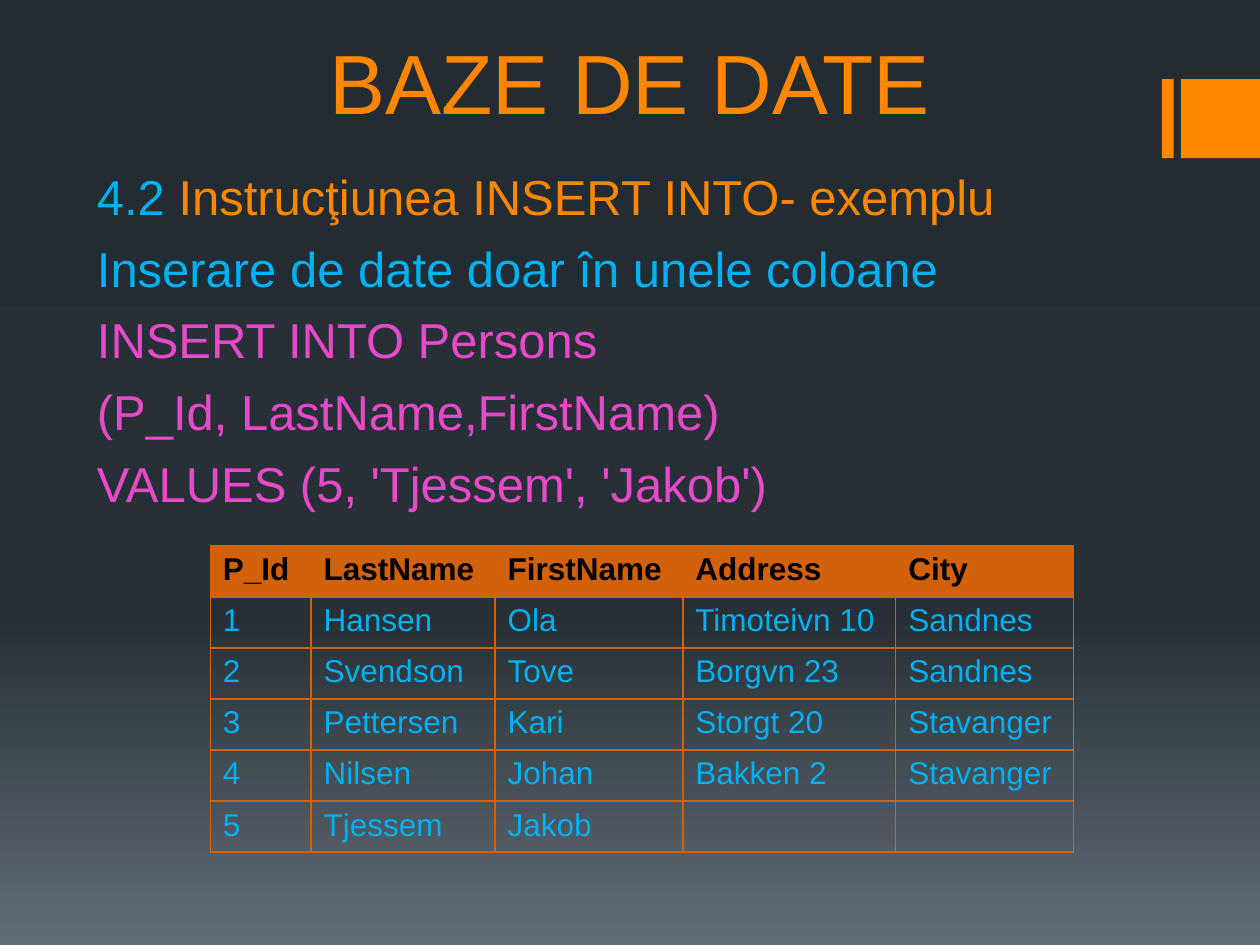
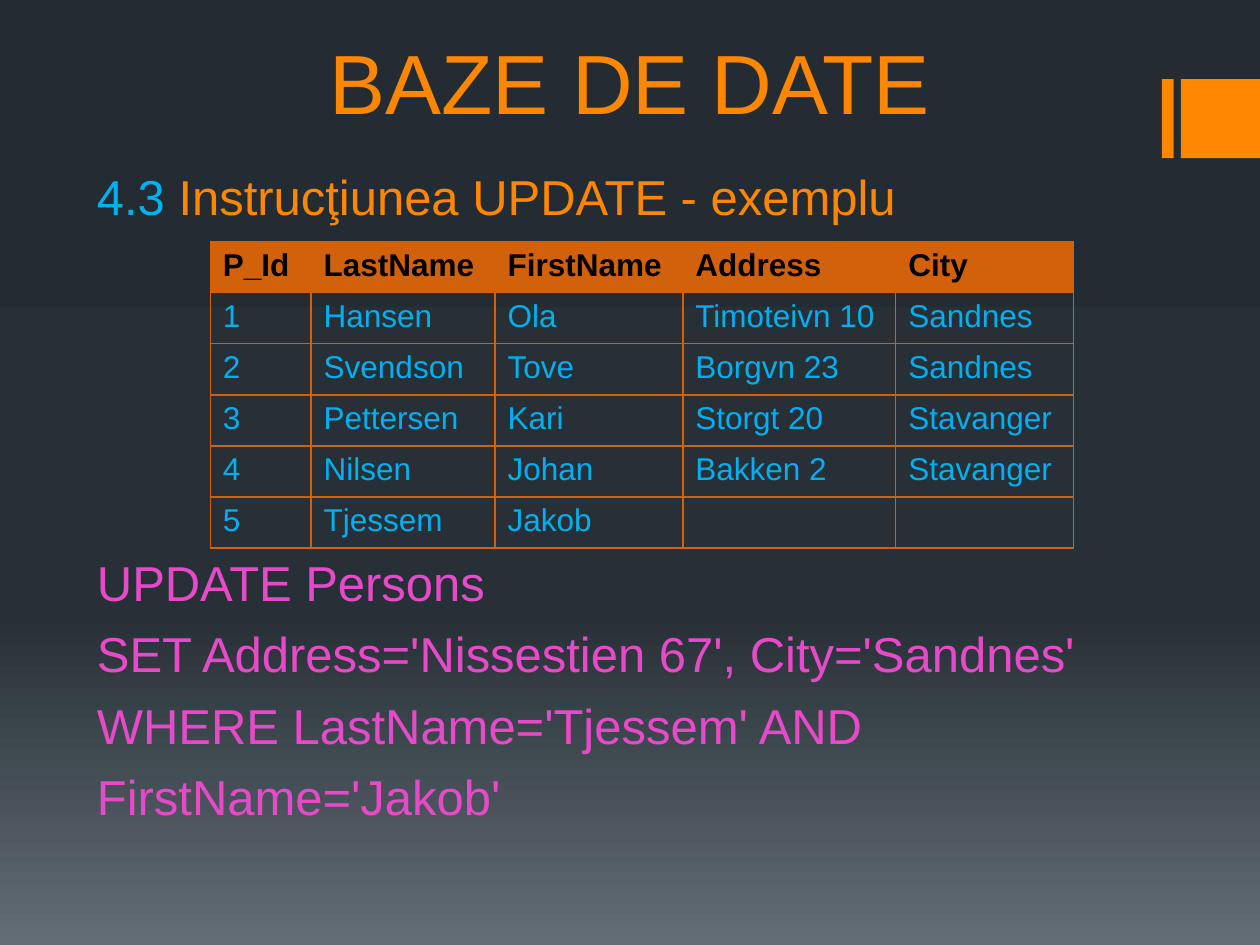
from pptx import Presentation
from pptx.dml.color import RGBColor
from pptx.enum.shapes import MSO_SHAPE
from pptx.enum.text import MSO_ANCHOR, MSO_AUTO_SIZE, PP_ALIGN
from pptx.oxml import parse_xml
from pptx.oxml.ns import nsdecls
from pptx.util import Pt

COLOURS = {
    "orange": "FF8600", "blue": "00B0F0", "pink": "E74AC9",
    "table": "D2610C", "header_text": "000000",
}
BACKGROUND_STOPS = [(0, "242C33"), (65, "273037"), (100, "636D76")]
FONT = "Arial"
LINE_GAP = 5.6

COLUMN_WIDTHS = [57.6, 105.1, 107.3, 121.7, 101.5]
ROW_HEIGHT = 29.2
PERSONS = [
    ["P_Id", "LastName", "FirstName", "Address", "City"],
    ["1", "Hansen", "Ola", "Timoteivn 10", "Sandnes"],
    ["2", "Svendson", "Tove", "Borgvn 23", "Sandnes"],
    ["3", "Pettersen", "Kari", "Storgt 20", "Stavanger"],
    ["4", "Nilsen", "Johan", "Bakken 2", "Stavanger"],
    ["5", "Tjessem", "Jakob", "", ""],
]


def rgb(name):
    return RGBColor.from_string(COLOURS[name])


def style_font(font, size, colour, bold=False):
    font.name, font.size, font.bold = FONT, Pt(size), bold
    font.color.rgb = rgb(colour)


def place(shape, left, top, width, height):
    shape.left, shape.top = Pt(left), Pt(top)
    shape.width, shape.height = Pt(width), Pt(height)


# Shared look: background gradient and the orange bands at the right edge
def set_background(layout):
    stops = "".join(
        f'<a:gs pos="{percent * 1000}"><a:srgbClr val="{colour}"/></a:gs>'
        for percent, colour in BACKGROUND_STOPS)
    layout.element.cSld.insert(0, parse_xml(
        f'<p:bg {nsdecls("p", "a")}><p:bgPr><a:gradFill><a:gsLst>{stops}</a:gsLst>'
        '<a:lin ang="5400000" scaled="0"/></a:gradFill><a:effectLst/></p:bgPr></p:bg>'))


def add_layout_band(layout, slide, left, width):
    band = slide.shapes.add_shape(
        MSO_SHAPE.RECTANGLE, Pt(left), Pt(45.2), Pt(width), Pt(45.2))
    band.shadow.inherit = False
    band.fill.solid()
    band.fill.fore_color.rgb = rgb("orange")
    band.line.fill.background()
    layout.shapes.element.append(band.element)


# Placeholders
def set_title(slide, text):
    title = slide.shapes.title
    place(title, 54, 0, 612, 78.5)
    frame = title.text_frame
    frame.text = text
    frame.auto_size = MSO_AUTO_SIZE.NONE
    frame.vertical_anchor = MSO_ANCHOR.BOTTOM
    frame.paragraphs[0].alignment = PP_ALIGN.CENTER
    style_font(frame.paragraphs[0].runs[0].font, 48, "orange")


def add_line(frame, spans, gap=LINE_GAP, first=False):
    para = frame.paragraphs[0] if first else frame.add_paragraph()
    para.alignment = PP_ALIGN.JUSTIFY
    para.line_spacing = 1.05
    para.space_before = Pt(0 if first else gap)
    for text, colour in spans:
        span = para.add_run()
        span.text = text
        style_font(span.font, 28, colour)


def start_body(slide, number, heading):
    body = slide.placeholders[1]
    place(body, 48.2, 90, 624, 402)
    frame = body.text_frame
    frame.auto_size = MSO_AUTO_SIZE.NONE
    frame.vertical_anchor = MSO_ANCHOR.TOP
    add_line(frame, [(number + " ", "blue"), (heading, "orange")], first=True)
    return frame


def add_code(frame, lines, first_gap=LINE_GAP):
    for index, line in enumerate(lines):
        add_line(frame, [(line, "pink")], LINE_GAP if index else first_gap)


# Table
def set_borders(cell):
    properties = cell._tc.get_or_add_tcPr()
    for side in ("lnL", "lnR", "lnT", "lnB"):
        properties.append(parse_xml(
            f'<a:{side} {nsdecls("a")} w="12700"><a:solidFill>'
            f'<a:srgbClr val="{COLOURS["table"]}"/></a:solidFill></a:{side}>'))


def add_persons_table(slide, top):
    table = slide.shapes.add_table(
        len(PERSONS), len(COLUMN_WIDTHS), Pt(120.2), Pt(top),
        Pt(sum(COLUMN_WIDTHS)), Pt(ROW_HEIGHT * len(PERSONS))).table
    table.horz_banding = False
    for column, width in zip(table.columns, COLUMN_WIDTHS):
        column.width = Pt(width)
    for row_index, (row, values) in enumerate(zip(table.rows, PERSONS)):
        row.height = Pt(ROW_HEIGHT)
        is_header = row_index == 0
        for cell, value in zip(row.cells, values):
            set_borders(cell)
            if is_header:
                cell.fill.solid()
                cell.fill.fore_color.rgb = rgb("table")
            else:
                cell.fill.background()
            cell.text = value
            for span in cell.text_frame.paragraphs[0].runs:
                style_font(span.font, 18, "header_text" if is_header else "blue", is_header)


def main():
    deck = Presentation()
    deck.slide_width, deck.slide_height = Pt(720), Pt(540)
    layout = deck.slide_layouts[0]
    insert_page, update_page = [deck.slides.add_slide(layout) for _ in range(2)]

    set_background(layout)
    for left, width in ((664, 6.7), (674.8, 45.2)):
        add_layout_band(layout, insert_page, left, width)
    for page in (insert_page, update_page):
        set_title(page, "BAZE DE DATE")

    # INSERT INTO example
    frame = start_body(insert_page, "4.2", "Instrucţiunea INSERT INTO- exemplu")
    add_line(frame, [("Inserare de date doar în unele coloane", "blue")])
    add_code(frame, ["INSERT INTO Persons", "(P_Id, LastName,FirstName)",
                     "VALUES (5, 'Tjessem', 'Jakob')"])
    add_persons_table(insert_page, 311.8)

    # UPDATE example, with room for the table above the code
    frame = start_body(update_page, "4.3", "Instrucţiunea UPDATE - exemplu")
    add_code(frame, ["UPDATE Persons", "SET Address='Nissestien 67', City='Sandnes'",
                     "WHERE LastName='Tjessem' AND", "FirstName='Jakob'"], first_gap=185)
    add_persons_table(update_page, 138)

    deck.save("out.pptx")


if __name__ == "__main__":
    main()
